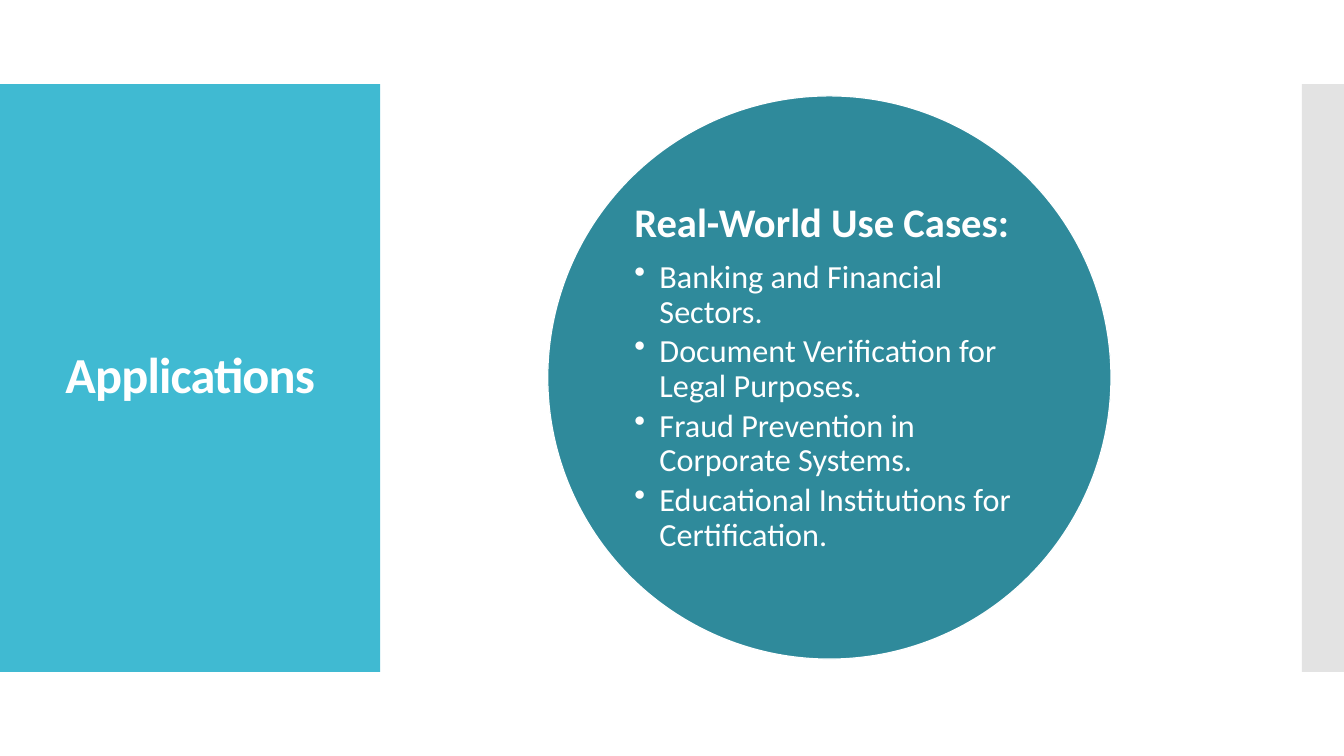
import pptx
import pptx.util
import pptx.dml.color
import pptx.enum.shapes
import pptx.enum.text
import pptx.oxml
import pptx.oxml.ns

Pt = pptx.util.Pt
RGBColor = pptx.dml.color.RGBColor
SHAPE = pptx.enum.shapes.MSO_SHAPE
ALIGN = pptx.enum.text.PP_ALIGN
qn = pptx.oxml.ns.qn

WHITE = RGBColor(0xFF, 0xFF, 0xFF)
CYAN = RGBColor(0x40, 0xBA, 0xD2)
TEAL = RGBColor(0x2F, 0x8A, 0x9B)
GREY = RGBColor(0xC8, 0xC8, 0xC8)

FONT = "Calibri"
PAGE_WIDTH, PAGE_HEIGHT = 960, 540
BAND_TOP, BAND_HEIGHT = 60, 420
TITLE_PANEL_WIDTH = 271.5
EDGE_WIDTH = 30
BULLET_INDENT = 18

USE_CASES = [
    "Banking and Financial Sectors.",
    "Document Verification for Legal Purposes.",
    "Fraud Prevention in Corporate Systems.",
    "Educational Institutions for Certification.",
]


def place(item, left, top, width, height):
    item.left, item.top = Pt(left), Pt(top)
    item.width, item.height = Pt(width), Pt(height)


def add_filled(page, preset, bounds, colour, line=None, alpha=None):
    """Add a preset shape; alpha is its opacity in percent."""
    shape = page.shapes.add_shape(preset, *map(Pt, bounds))
    shape.shadow.inherit = False
    shape.fill.solid()
    shape.fill.fore_color.rgb = colour
    if line is None:
        shape.line.fill.background()
    else:
        shape.line.color.rgb = line
        shape.line.width = Pt(0.85)
    if alpha is not None:
        tint = shape.element.spPr.find(qn("a:solidFill"))[0]
        tint.append(pptx.oxml.parse_xml(
            f'<a:alpha {pptx.oxml.ns.nsdecls("a")} val="{alpha * 1000}"/>'))
    return shape


def write(para, text, size, bold=False, align=ALIGN.LEFT, after=0,
          bullet=False, spacing=None):
    """Fill a paragraph; spacing is the letter spacing in points."""
    para.alignment = align
    para.line_spacing = 0.9
    para.space_before = Pt(0)
    para.space_after = Pt(after)
    span = para.add_run()
    span.text = text
    span.font.name = FONT
    span.font.size = Pt(size)
    span.font.bold = bold
    span.font.color.rgb = WHITE
    if spacing is not None:
        span.font._element.set("spc", str(round(spacing * 100)))
    if bullet:
        layout = para._p.get_or_add_pPr()
        layout.set("marL", str(Pt(BULLET_INDENT)))
        layout.set("indent", str(-Pt(BULLET_INDENT)))
        layout.append(pptx.oxml.parse_xml(
            f'<a:buChar {pptx.oxml.ns.nsdecls("a")} char="•"/>'))


def set_frame(frame, inset_x, inset_y):
    frame.word_wrap = True
    frame.auto_size = pptx.enum.text.MSO_AUTO_SIZE.NONE
    frame.vertical_anchor = pptx.enum.text.MSO_ANCHOR.MIDDLE
    frame.margin_left = frame.margin_right = Pt(inset_x)
    frame.margin_top = frame.margin_bottom = Pt(inset_y)


def add_title(page, text):
    title = page.shapes.title
    panel = add_filled(page, SHAPE.RECTANGLE,
                       (0, BAND_TOP, TITLE_PANEL_WIDTH, BAND_HEIGHT), CYAN)
    title.element.addprevious(panel.element)
    place(title, 19.9, 88.5, 231.9, 362.4)
    set_frame(title.text_frame, 7.2, 3.6)
    write(title.text_frame.paragraphs[0], text, 36, bold=True,
          align=ALIGN.CENTER, spacing=-0.6)


def add_use_cases(page):
    add_filled(page, SHAPE.OVAL, (391.3, 68.5, 402.3, 402.3), TEAL, line=WHITE)
    box = page.shapes.add_textbox(*map(Pt, (450.2, 127.4, 285, 285)))
    frame = box.text_frame
    set_frame(frame, 2.9, 2.9)
    write(frame.paragraphs[0], "Real-World Use Cases:", 29, bold=True,
          after=10.15)
    for use_case in USE_CASES:
        write(frame.add_paragraph(), use_case, 23, after=3.45, bullet=True)


def main():
    deck = pptx.Presentation()
    deck.slide_width, deck.slide_height = Pt(PAGE_WIDTH), Pt(PAGE_HEIGHT)
    page = deck.slides.add_slide(deck.slide_layouts.get_by_name("Title Only"))
    add_title(page, "Applications")
    add_filled(page, SHAPE.RECTANGLE,
               (PAGE_WIDTH - EDGE_WIDTH, BAND_TOP, EDGE_WIDTH, BAND_HEIGHT),
               GREY, alpha=50)
    add_use_cases(page)
    deck.save("out.pptx")


if __name__ == "__main__":
    main()
